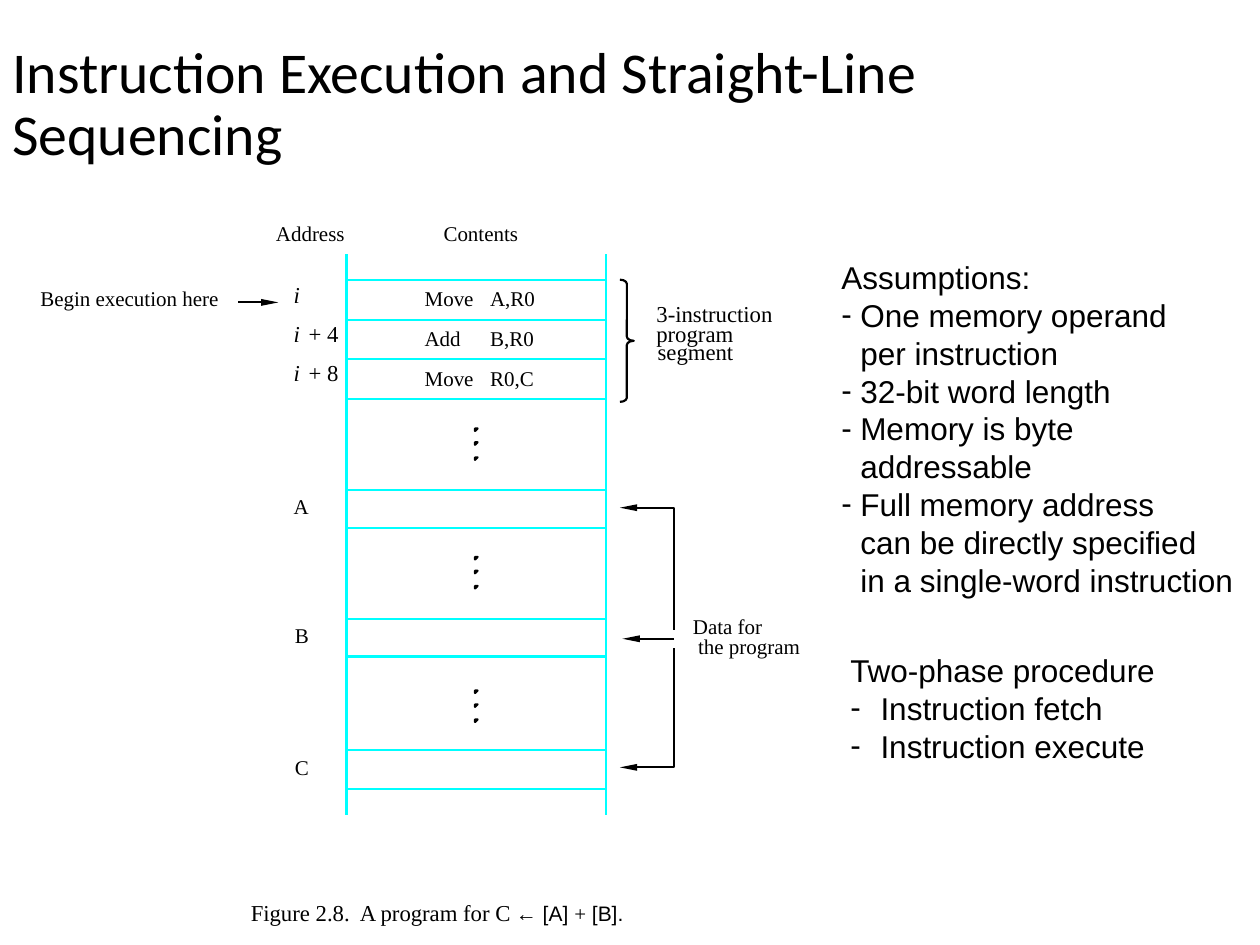
import dataclasses

import lxml.etree
import pptx
import pptx.dml.color
import pptx.enum.shapes
import pptx.enum.text
import pptx.oxml.ns
import pptx.util

Inches = pptx.util.Inches
Pt = pptx.util.Pt
qn = pptx.oxml.ns.qn

COLORS = {"ink": "000000", "memory": "00FFFF"}
SERIF, SANS, TITLE_FONT = "Times New Roman", "Arial", "Calibri"
LINE_WIDTH = Pt(1.25)


@dataclasses.dataclass(frozen=True)
class Label:
    text: str
    left: float
    top: float
    width: float
    size: int = 12
    italic: bool = False


@dataclasses.dataclass(frozen=True)
class Item:
    text: str
    hanging: float = 0


def color(name: str) -> pptx.dml.color.RGBColor:
    return pptx.dml.color.RGBColor.from_string(COLORS[name])


def style_font(font, name: str, size: int) -> None:
    font.name, font.size = name, Pt(size)
    font.color.rgb = color("ink")


def add_text_frame(slide, left: float, top: float, width: float, height: float,
                   wrap: bool = False, inset: bool = False):
    box = slide.shapes.add_textbox(Inches(left), Inches(top), Inches(width), Inches(height))
    frame = box.text_frame
    frame.word_wrap = wrap
    if not wrap:
        frame.auto_size = pptx.enum.text.MSO_AUTO_SIZE.SHAPE_TO_FIT_TEXT
    if not inset:
        frame.margin_left = frame.margin_top = frame.margin_right = frame.margin_bottom = 0
    return frame


def add_label(slide, label: Label) -> None:
    height = 0.2 if label.size == 12 else 0.22
    paragraph = add_text_frame(slide, label.left, label.top, label.width, height).paragraphs[0]
    paragraph.text = label.text
    style_font(paragraph.font, SERIF, label.size)
    if label.italic:
        paragraph.font.italic = True


def add_items(slide, left: float, top: float, width: float, height: float,
              items: list[Item], wrap: bool) -> None:
    frame = add_text_frame(slide, left, top, width, height, wrap, inset=True)
    for index, item in enumerate(items):
        paragraph = frame.add_paragraph() if index else frame.paragraphs[0]
        paragraph.text = item.text
        if item.hanging:
            properties = paragraph._p.get_or_add_pPr()
            properties.set("marL", str(Inches(item.hanging)))
            properties.set("indent", str(-Inches(item.hanging)))
            lxml.etree.SubElement(properties, qn("a:buFont"), typeface=SANS)
            lxml.etree.SubElement(properties, qn("a:buChar"), char="-")
        style_font(paragraph.font, SANS, 18)


def add_arrowhead(shape, end: str) -> None:
    lxml.etree.SubElement(shape.line._get_or_add_ln(), qn(f"a:{end}"),
                          type="triangle", w="sm", len="lg")


def add_line(slide, x1: float, y1: float, x2: float, y2: float, tint: str):
    line = slide.shapes.add_connector(pptx.enum.shapes.MSO_CONNECTOR.STRAIGHT,
                                      Inches(x1), Inches(y1), Inches(x2), Inches(y2))
    line.line.color.rgb = color(tint)
    line.line.width = LINE_WIDTH
    lxml.etree.SubElement(line._element.spPr, qn("a:effectLst"))
    return line


def style_outline(shape, filled: bool = False) -> None:
    shape.shadow.inherit = False
    if filled:
        shape.fill.solid()
        shape.fill.fore_color.rgb = color("ink")
    else:
        shape.fill.background()
    shape.line.color.rgb = color("ink")
    shape.line.width = LINE_WIDTH


def add_outline(slide, points: list[tuple[float, float]], closed: bool = False):
    corners = [(Inches(x), Inches(y)) for x, y in points]
    builder = slide.shapes.build_freeform(*corners[0])
    builder.add_line_segments(corners[1:], close=closed)
    outline = builder.convert_to_shape()
    style_outline(outline, filled=closed)
    return outline


def add_title(slide) -> None:
    frame = add_text_frame(slide, 0, 0.13, 8.25, 1.42, wrap=True, inset=True)
    frame.vertical_anchor = pptx.enum.text.MSO_ANCHOR.MIDDLE
    paragraph = frame.paragraphs[0]
    paragraph.text = "Instruction Execution and Straight-Line Sequencing"
    paragraph.line_spacing = 0.9
    style_font(paragraph.font, TITLE_FONT, 33)


def add_memory(slide) -> None:
    left, right = 2.75, 4.81
    for x in (left, right):
        add_line(slide, x, 2.02, x, 6.47, "memory")
    for y in (2.22, 2.54, 2.85, 3.17, 3.89, 4.19, 4.91, 5.21, 5.95, 6.26):
        add_line(slide, left, y, right, y, "memory")
    # Vertical ellipses in the skipped areas
    x, dot = 3.77, 0.02
    for first in (3.4, 4.42, 5.48):
        for y in (first, first + 0.11, first + 0.23):
            add_outline(slide, [(x, y), (x, y + dot), (x + dot, y)], closed=True)


def add_pointers(slide) -> None:
    add_arrowhead(add_line(slide, 1.89, 2.4, 2.21, 2.4, "ink"), "tailEnd")
    # Data bracket with one arrow to each operand
    bracket = 5.35
    for y, inner in ((4.03, 5), (6.09, 5.14)):
        elbow = add_outline(slide, [(4.92, y), (bracket, y), (bracket, inner)])
        add_arrowhead(elbow, "headEnd")
    add_arrowhead(add_line(slide, bracket, 5.07, 4.94, 5.07, "ink"), "tailEnd")
    # Program segment brace
    brace = slide.shapes.add_shape(pptx.enum.shapes.MSO_SHAPE.RIGHT_BRACE,
                                   Inches(4.92), Inches(2.22), Inches(0.11), Inches(0.97))
    brace.adjustments[0] = 0.3
    style_outline(brace)


def add_caption(slide) -> None:
    paragraph = add_text_frame(slide, 1.99, 7.13, 3.08, 0.22).paragraphs[0]
    for text, font, size in (("Figure 2.8.  A program for C ", SERIF, 13),
                             ("← [Α] ", SANS, 12), ("+", SERIF, 12), (" [Β].", SANS, 12)):
        run = paragraph.add_run()
        run.text = text
        style_font(run.font, font, size)


LABELS = [
    Label("Address", 2.19, 1.75, 0.57),
    Label("Contents", 3.52, 1.75, 0.62),
    Label("Begin execution here", 0.32, 2.27, 1.45),
    Label("3-instruction", 5.21, 2.38, 0.95, 13),
    Label("program", 5.21, 2.54, 0.63, 13),
    Label("segment", 5.22, 2.68, 0.63, 13),
    Label("Data for", 5.5, 4.87, 0.6),
    Label("the program", 5.54, 5.03, 0.85),
    Label("A", 2.33, 3.92, 0.14),
    Label("B", 2.34, 4.94, 0.14),
    Label("C", 2.34, 5.99, 0.14),
]
# Address offset, operation, operands, address top, instruction top
INSTRUCTIONS = [
    ("", "Move", "A,R0", 2.23, 2.27),
    ("+ 4", "Add", "B,R0", 2.54, 2.58),
    ("+ 8", "Move", "R0,C", 2.85, 2.9),
]
ASSUMPTIONS = [
    Item("Assumptions:"),
    Item("One memory operand\vper instruction", 0.15),
    Item("32-bit word length", 0.15),
    Item("Memory is byte\vaddressable", 0.15),
    Item("Full memory address\vcan be directly specified\vin a single-word instruction", 0.15),
]
PHASES = [
    Item("Two-phase procedure"),
    Item("Instruction fetch", 0.24),
    Item("Instruction execute", 0.24),
]


def main() -> None:
    deck = pptx.Presentation()
    deck.slide_width, deck.slide_height = Inches(10), Inches(7.5)
    slide = deck.slides.add_slide(deck.slide_layouts[6])

    add_title(slide)
    add_memory(slide)
    add_pointers(slide)
    for label in LABELS:
        add_label(slide, label)
    for offset, operation, operands, address_top, top in INSTRUCTIONS:
        add_label(slide, Label("i", 2.33, address_top, 0.07, 13, italic=True))
        if offset:
            add_label(slide, Label(offset, 2.45, address_top, 0.28, 13))
        add_label(slide, Label(operation, 3.37, top, 0.42))
        add_label(slide, Label(operands, 3.89, top, 0.4))
    add_caption(slide)
    add_items(slide, 6.58, 2, 3.4, 2.8, ASSUMPTIONS, wrap=False)
    add_items(slide, 6.65, 5.12, 2.63, 1, PHASES, wrap=True)
    deck.save("out.pptx")


if __name__ == "__main__":
    main()
